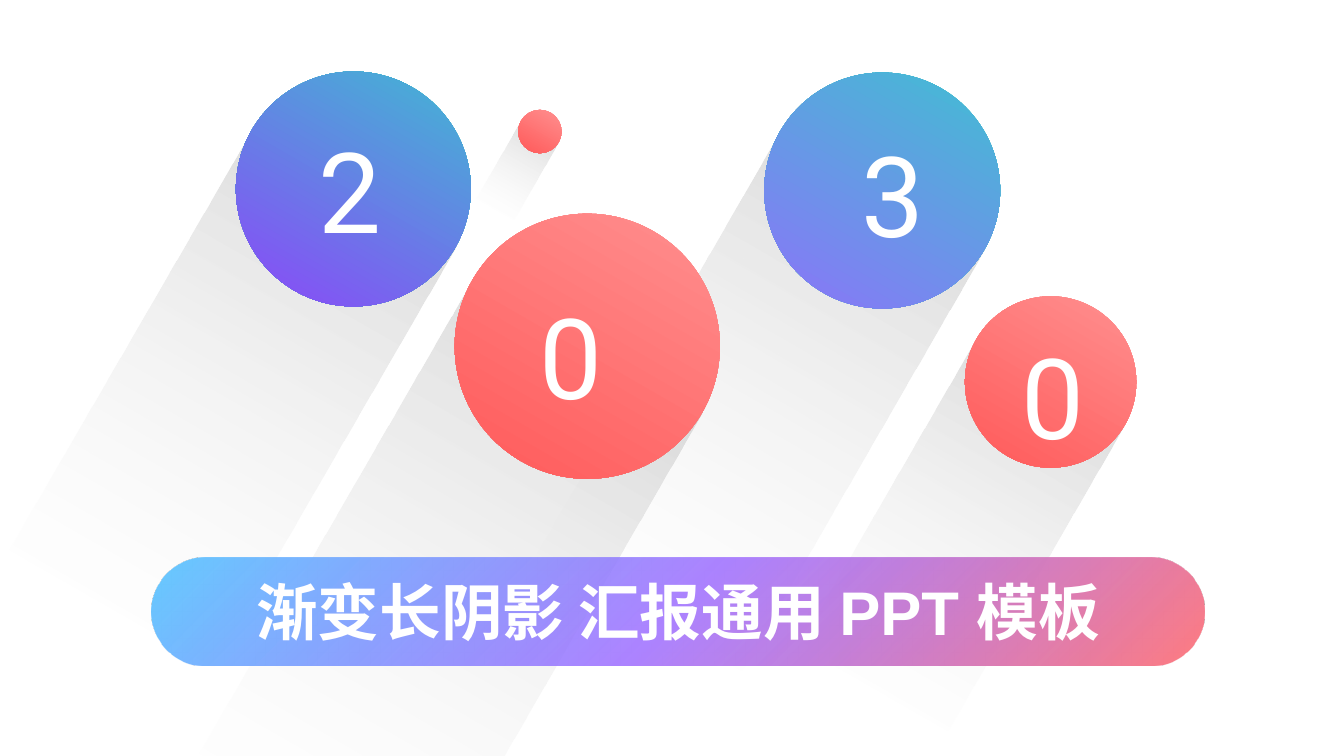
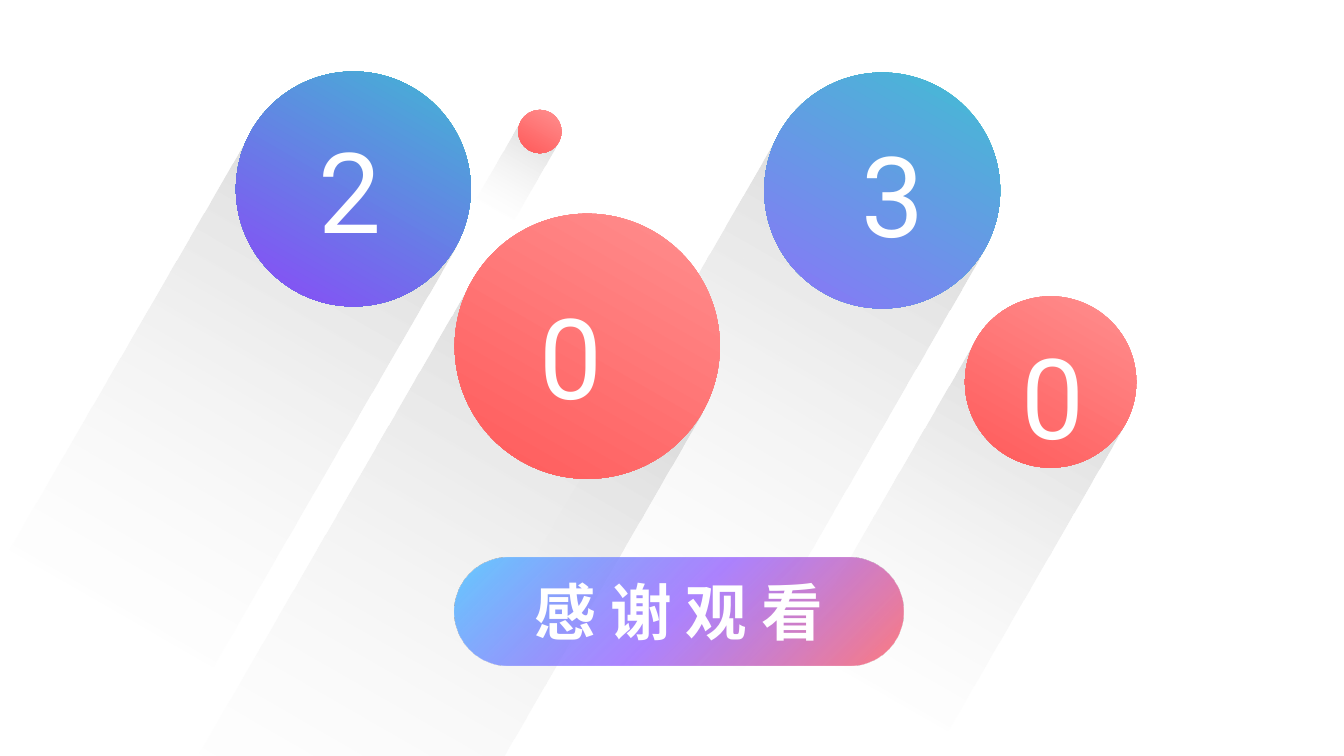
import math

from lxml import etree
from pptx import Presentation
from pptx.dml.color import RGBColor
from pptx.enum.shapes import MSO_SHAPE
from pptx.enum.text import MSO_ANCHOR, MSO_AUTO_SIZE, PP_ALIGN
from pptx.oxml.ns import qn
from pptx.util import Inches, Pt

RECT, OVAL, PILL = MSO_SHAPE.RECTANGLE, MSO_SHAPE.OVAL, MSO_SHAPE.ROUNDED_RECTANGLE
CENTER, MIDDLE = PP_ALIGN.CENTER, MSO_ANCHOR.MIDDLE
FIT_SHAPE = MSO_AUTO_SIZE.SHAPE_TO_FIT_TEXT

# Gradients: (position %, colour, opacity %)
SHADOW = [(0, "BFBFBF", 70), (100, "FFFFFF", 0)]
CORAL = [(0, "FF9999", 100), (100, "FF5050", 100)]
VIOLET = [(0, "33CCCC", 100), (100, "9933FF", 100)]
LILAC = [(0, "33CCCC", 100), (100, "9966FF", 100)]
RAINBOW = [(0, "66CCFF", 100), (50, "9966FF", 80), (100, "FF7C80", 100)]

TILT = 30
SHADOW_RATIO = 2.06  # shadow length per circle diameter

# Left, top, diameter, gradient
CIRCLES = [
    (7.58, 0.72, 2.34, LILAC),
    (2.34, 0.71, 2.33, VIOLET),
    (9.57, 2.94, 1.7, CORAL),
    (4.51, 2.12, 2.63, CORAL),
]
DOT = (5.14, 1.09, 0.43, CORAL)
DIGITS = [("2", 3.06, 1.16), ("0", 5.25, 2.8), ("3", 8.45, 1.2), ("0", 10.03, 3.2)]

DIGIT_FONT = {"name": "Roboto", "size": Pt(80)}
TITLE_FONT = {"name": "Arial", "size": Pt(44), "bold": True}


def rgb(color):
    return RGBColor.from_string(color)


def set_gradient(sp, stops, angle):
    sp.fill.gradient()
    grad = sp.fill._xPr.find(qn("a:gradFill"))
    for child in list(grad):
        grad.remove(child)
    grad.set("rotWithShape", "1")
    gs_lst = etree.SubElement(grad, qn("a:gsLst"))
    for pos, color, opacity in stops:
        gs = etree.SubElement(gs_lst, qn("a:gs"), pos=str(pos * 1000))
        clr = etree.SubElement(gs, qn("a:srgbClr"), val=color)
        if opacity < 100:
            etree.SubElement(clr, qn("a:alpha"), val=str(opacity * 1000))
    etree.SubElement(grad, qn("a:lin"), ang=str(angle * 60000), scaled="0")


def add_shape(shapes, kind, box, stops, angle=90, rotation=0):
    sp = shapes.add_shape(kind, *map(Inches, box))
    sp.shadow.inherit = False
    sp.line.fill.background()
    sp.rotation = rotation
    set_gradient(sp, stops, angle)
    return sp


def write(tf, text, fmt):
    tf.word_wrap = True
    p = tf.paragraphs[0]
    r = p.add_run()
    r.text = text
    for name, value in fmt.items():
        setattr(r.font, name, value)
    r.font.color.rgb = rgb("FFFFFF")
    return p


def add_ball(shapes, left, top, size, stops):
    """Circle whose long shadow starts at its centre."""
    length = size * SHADOW_RATIO
    tilt = math.radians(TILT)
    cx = left + size / 2 - length / 2 * math.sin(tilt)
    cy = top + size / 2 + length / 2 * math.cos(tilt)
    add_shape(shapes, RECT, (cx - size / 2, cy - length / 2, size, length),
              SHADOW, rotation=TILT)
    add_shape(shapes, OVAL, (left, top, size, size), stops, rotation=TILT)


def add_banner(shapes, left, width, text):
    sp = add_shape(shapes, PILL, (left, 5.53, width, 1.07), RAINBOW, angle=45)
    sp.adjustments[0] = 0.5
    sp.text_frame.vertical_anchor = MIDDLE
    write(sp.text_frame, text, TITLE_FONT).alignment = CENTER


def add_digit(shapes, text, left, top):
    tb = shapes.add_textbox(*map(Inches, (left, top, 0.9, 1.45)))
    write(tb.text_frame, text, DIGIT_FONT)
    tb.text_frame.auto_size = FIT_SHAPE


def add_cover(prs, left, width, text, group_dot=False):
    s = prs.slides.add_slide(prs.slide_layouts[6])
    # Large circles
    for ball in CIRCLES:
        add_ball(s.shapes, *ball)
    # Title banner and year
    add_banner(s.shapes, left, width, text)
    for digit in DIGITS:
        add_digit(s.shapes, *digit)
    # Small dot
    add_ball(s.shapes.add_group_shape().shapes if group_dot else s.shapes, *DOT)


def main():
    prs = Presentation()
    prs.slide_width, prs.slide_height = Inches(13.33), Inches(7.5)
    add_cover(prs, 1.5, 10.45, "渐变长阴影 汇报通用 PPT 模板")
    add_cover(prs, 4.51, 4.45, "感 谢 观 看", group_dot=True)
    prs.save("out.pptx")


if __name__ == "__main__":
    main()
